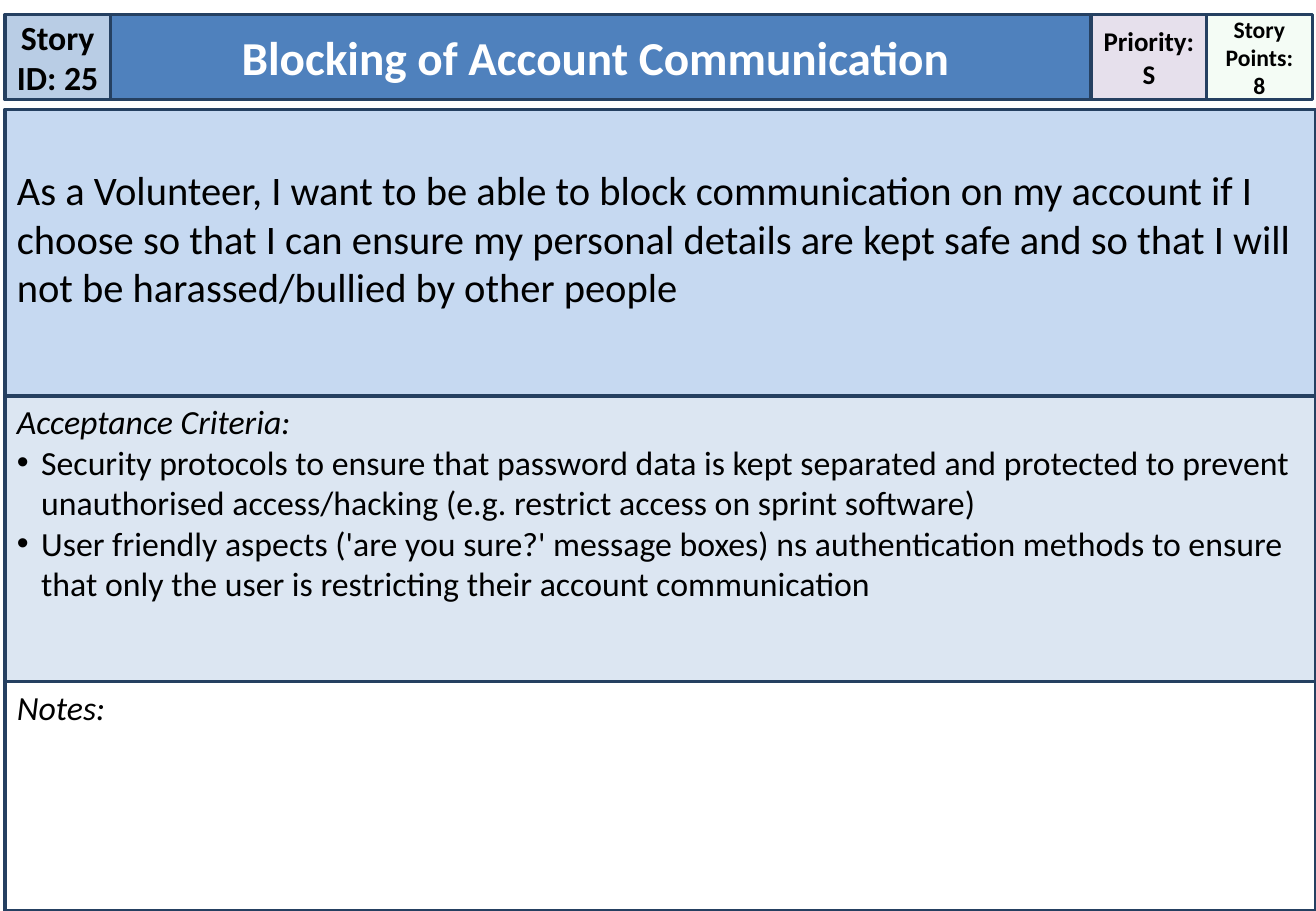
"""Build a user story card with a header row and three stacked panels."""
from lxml import etree
from pptx import Presentation
from pptx import util as u
from pptx.dml.color import RGBColor
from pptx.enum import shapes, text
from pptx.oxml.ns import qn

FONT = "Calibri"
BORDER = "254061"
LEFT, HEADER_TOP, HEADER_HEIGHT = 0.04, 0.12, 0.7
PANEL_TOP, PANEL_WIDTH = 0.9, 10.79
CELL_INSETS = (0, 0.05, 0, 0.05)
TITLE_INSETS = (0.1, 0.05, 0.19, 0.05)
STORY_INSETS = (0.1, 0.46, 0.1, 0.05)
PANEL_INSETS = (0.1, 0.04, 0.1, 0.05)

# width, fill, opacity %, text colour, size, insets, wrap, lines
HEADER = [
    (0.87, "B9CDE5", 100, "000000", 20, CELL_INSETS, True, ["Story ID: 25"]),
    (8.07, "4F81BD", 100, "FFFFFF", 28, TITLE_INSETS, True,
     ["Blocking of Account Communication"]),
    (0.95, "E6E0EC", 100, "000000", 16, CELL_INSETS, False, ["Priority:", "S"]),
    (0.87, "CCF0CD", 20, "000000", 14, CELL_INSETS, True, ["Story Points:", "8"]),
]

# height, fill, size, insets, heading, body, bullets
PANELS = [
    (2.36, "C6D9F1", 24, STORY_INSETS, "",
     "As a Volunteer, I want to be able to block communication on my account "
     "if I choose so that I can ensure my personal details are kept safe and "
     "so that I will not be harassed/bullied by other people", []),
    (2.35, "DCE6F2", 20, PANEL_INSETS, "Acceptance Criteria:", "",
     ["Security protocols to ensure that password data is kept separated and "
      "protected to prevent unauthorised access/hacking (e.g. restrict access "
      "on sprint software)",
      "User friendly aspects ('are you sure?' message boxes) ns authentication "
      "methods to ensure that only the user is restricting their account "
      "communication"]),
    (1.89, "FFFFFF", 20, PANEL_INSETS, "Notes:", "", []),
]


def paint(color_format, hex_color):
    color_format.rgb = RGBColor.from_string(hex_color)


def add_box(slide, bounds, fill, insets, anchor):
    box = slide.shapes.add_shape(
        shapes.MSO_SHAPE.RECTANGLE, *(u.Inches(value) for value in bounds))
    box.shadow.inherit = False
    box.fill.solid()
    paint(box.fill.fore_color, fill)
    paint(box.line.color, BORDER)
    box.line.width = u.Pt(2)
    frame = box.text_frame
    frame.word_wrap = True
    frame.vertical_anchor = anchor
    (frame.margin_left, frame.margin_top,
     frame.margin_right, frame.margin_bottom) = map(u.Inches, insets)
    return box


def set_opacity(box, percent):
    color = box.fill._xPr.find(qn("a:solidFill"))[0]
    etree.SubElement(color, qn("a:alpha")).set("val", str(percent * 1000))


def add_bullet(paragraph):
    properties = paragraph._p.get_or_add_pPr()
    properties.set("marL", str(u.Inches(0.2)))
    properties.set("indent", str(-u.Inches(0.2)))
    etree.SubElement(properties, qn("a:buFont")).set("typeface", "Arial")
    etree.SubElement(properties, qn("a:buChar")).set("char", "•")


def write(frame, lines, size, color, align, bold=False, heading="", bullets=()):
    for index, line in enumerate(lines):
        paragraph = frame.paragraphs[0] if index == 0 else frame.add_paragraph()
        paragraph.text = line
        paragraph.alignment = align
        if line in bullets:
            add_bullet(paragraph)
        for run in paragraph.runs:
            run.font.name = FONT
            run.font.size = u.Pt(size)
            run.font.bold = bold
            run.font.italic = line == heading
            paint(run.font.color, color)


def main():
    deck = Presentation()
    deck.slide_width, deck.slide_height = u.Inches(10.83), u.Inches(7.5)
    card = deck.slides.add_slide(deck.slide_layouts[6])

    left = LEFT
    for width, fill, opacity, color, size, insets, wrap, lines in HEADER:
        cell = add_box(card, (left, HEADER_TOP, width, HEADER_HEIGHT),
                       fill, insets, text.MSO_ANCHOR.MIDDLE)
        cell.text_frame.word_wrap = wrap
        if opacity < 100:
            set_opacity(cell, opacity)
        write(cell.text_frame, lines, size, color, text.PP_ALIGN.CENTER, bold=True)
        left += width

    top = PANEL_TOP
    for height, fill, size, insets, heading, body, bullets in PANELS:
        panel = add_box(card, (LEFT, top, PANEL_WIDTH, height),
                        fill, insets, text.MSO_ANCHOR.TOP)
        lines = [line for line in (heading, body, *bullets) if line]
        write(panel.text_frame, lines, size, "000000", text.PP_ALIGN.LEFT,
              heading=heading, bullets=bullets)
        top += height

    deck.save("out.pptx")


if __name__ == "__main__":
    main()
